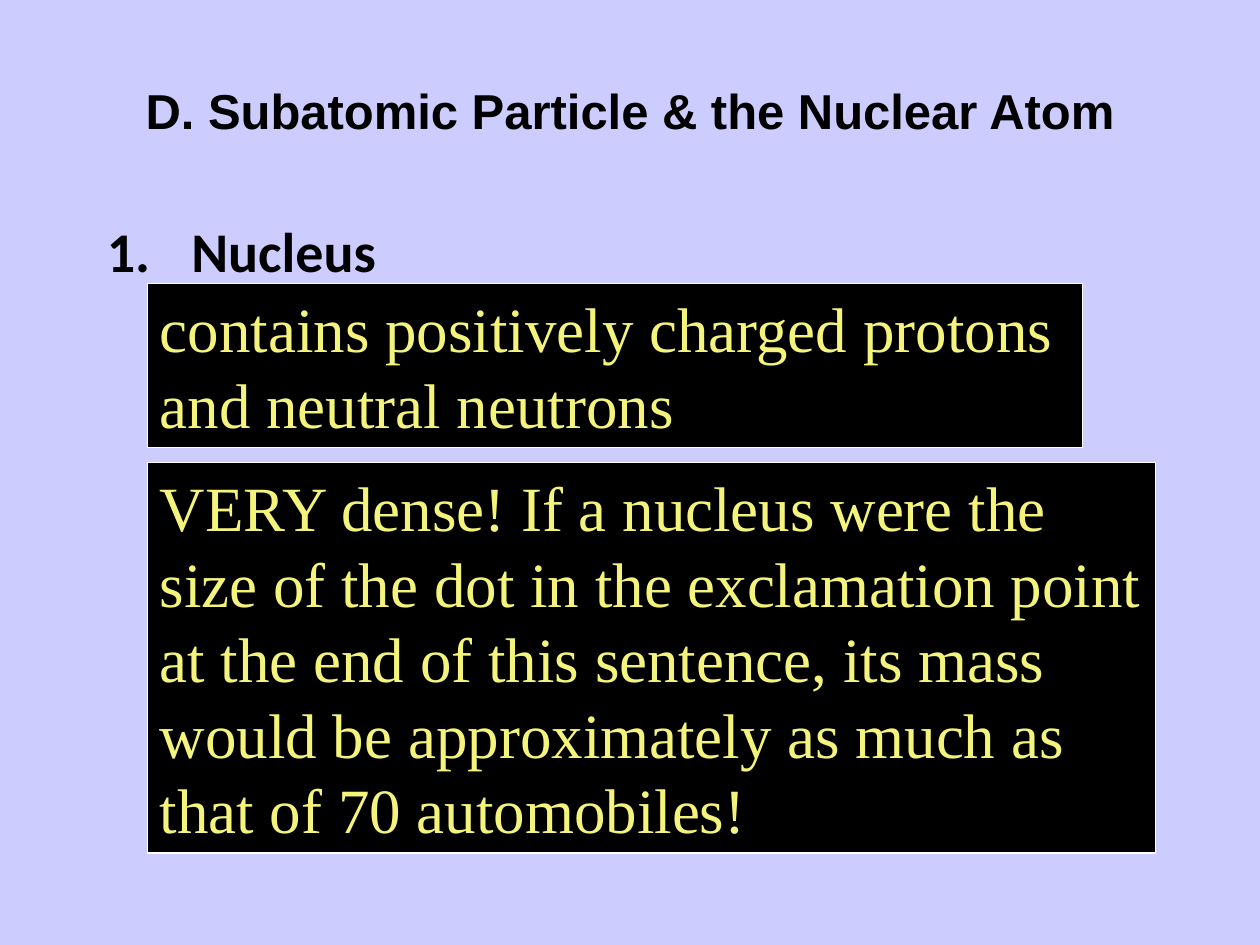
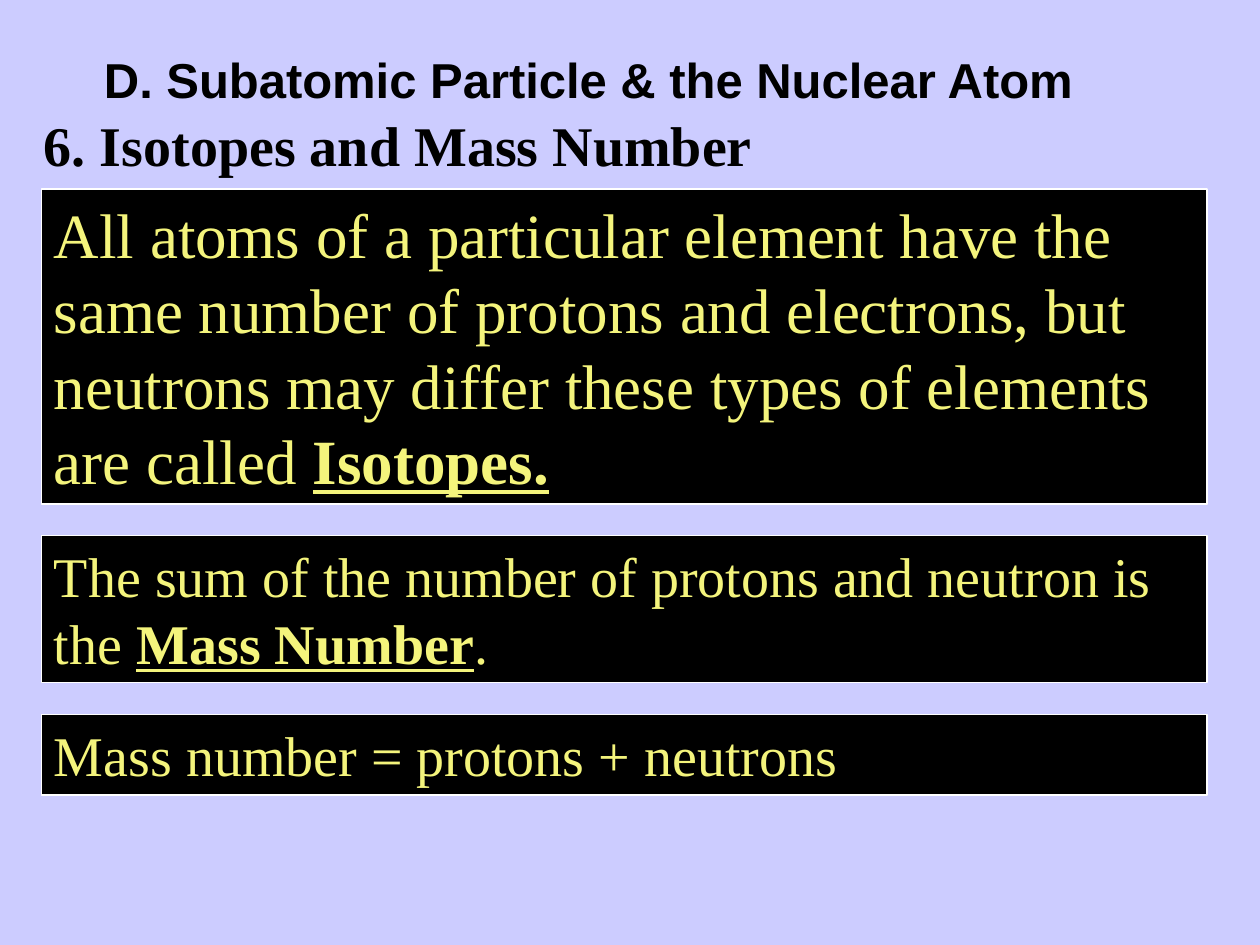
"""Build two slides on the nucleus, isotopes and mass number."""
from lxml import etree
from pptx import Presentation
from pptx.dml.color import RGBColor
from pptx.enum.shapes import MSO_SHAPE
from pptx.enum.text import MSO_ANCHOR, MSO_AUTO_SIZE, PP_ALIGN
from pptx.oxml.ns import qn
from pptx.util import Inches, Pt

RECTANGLE = MSO_SHAPE.RECTANGLE
TOP, MIDDLE = MSO_ANCHOR.TOP, MSO_ANCHOR.MIDDLE
FIT_SHAPE, NO_FIT = MSO_AUTO_SIZE.SHAPE_TO_FIT_TEXT, MSO_AUTO_SIZE.NONE
LEFT, CENTER = PP_ALIGN.LEFT, PP_ALIGN.CENTER

LAVENDER = RGBColor(0xCC, 0xCC, 0xFF)
BLACK = RGBColor(0, 0, 0)
WHITE = RGBColor(0xFF, 0xFF, 0xFF)
YELLOW = RGBColor(0xF4, 0xF4, 0x7C)

TITLE = "D. Subatomic Particle & the Nuclear Atom"
TITLE_FONT, LIST_FONT, BODY_FONT = "Arial", "Calibri", "Times New Roman"
NUMBER_INDENT = Inches(0.67)

# Note spans are (text, is_key_term); places are left, top, width, height.
SLIDES = [
    {
        "title_at": (0.75, 0.25),
        "heading": {"text": "Nucleus", "font": LIST_FONT, "numbered": True,
                    "place": (0.75, 1.67, 3.17, 0.75)},
        "notes": [
            ((1.17, 2.25, 7.42, 1.3), 36,
             [("contains positively charged protons and neutral neutrons", False)]),
            ((1.17, 3.67, 8, 3.1), 36,
             [("VERY dense! If a nucleus were the size of the dot in the "
               "exclamation point at the end of this sentence, its mass would be "
               "approximately as much as that of 70 automobiles!", False)]),
        ],
    },
    {
        "title_at": (0.42, 0),
        "heading": {"text": "6. Isotopes and Mass Number", "font": BODY_FONT,
                    "numbered": False, "place": (0.25, 0.83, 8.25, 0.64)},
        "notes": [
            ((0.33, 1.5, 9.25, 2.5), 36,
             [("All atoms of a particular element have the same number of protons "
               "and electrons, but neutrons may differ these types of elements are "
               "called ", False), ("Isotopes.", True)]),
            ((0.33, 4.25, 9.25, 1.17), 32,
             [("The sum of the number of protons and neutron is the ", False),
              ("Mass Number", True), (".", False)]),
            ((0.33, 5.67, 9.25, 0.64), 32,
             [("Mass number = protons + neutrons", False)]),
        ],
    },
]


def add_span(para, text, font, size, color, bold=False, underline=False):
    span = para.add_run()
    span.text = text
    span.font.name = font
    span.font.size = Pt(size)
    span.font.color.rgb = color
    span.font.bold = bold
    span.font.underline = underline


def prepare_frame(box, anchor=TOP, align=LEFT, auto_size=FIT_SHAPE):
    frame = box.text_frame
    frame.word_wrap = True
    frame.auto_size = auto_size
    frame.vertical_anchor = anchor
    para = frame.paragraphs[0]
    para.alignment = align
    return para


def number_paragraph(para):
    properties = para._p.get_or_add_pPr()
    properties.set("marL", str(NUMBER_INDENT))
    properties.set("indent", str(-NUMBER_INDENT))
    etree.SubElement(properties, qn("a:buFont"), typeface="+mj-lt")
    etree.SubElement(properties, qn("a:buAutoNum"), type="arabicPeriod")


def set_title(page, left, top):
    title = page.shapes.title
    title.left, title.top = Inches(left), Inches(top)
    title.width, title.height = Inches(8.5), Inches(1.25)
    para = prepare_frame(title, MIDDLE, CENTER, NO_FIT)
    add_span(para, TITLE, TITLE_FONT, 28, BLACK, bold=True)


def add_heading(page, text, font, numbered, place):
    box = page.shapes.add_textbox(*map(Inches, place))
    para = prepare_frame(box, auto_size=NO_FIT)
    if numbered:
        number_paragraph(para)
    add_span(para, text, font, 32, BLACK, bold=True)


def add_note(page, place, size, spans):
    box = page.shapes.add_shape(RECTANGLE, *map(Inches, place))
    box.shadow.inherit = False
    box.fill.solid()
    box.fill.fore_color.rgb = BLACK
    box.line.color.rgb = WHITE
    box.line.width = Pt(0.75)
    para = prepare_frame(box)
    for text, is_key_term in spans:
        add_span(para, text, BODY_FONT, size, YELLOW, is_key_term, is_key_term)


def main():
    deck = Presentation()
    deck.slide_width, deck.slide_height = Inches(10), Inches(7.5)
    background = deck.slide_master.background.fill
    background.solid()
    background.fore_color.rgb = LAVENDER
    title_only = deck.slide_layouts.get_by_name("Title Only")
    for content in SLIDES:
        page = deck.slides.add_slide(title_only)
        set_title(page, *content["title_at"])
        add_heading(page, **content["heading"])
        for note in content["notes"]:
            add_note(page, *note)
    deck.save("out.pptx")


if __name__ == "__main__":
    main()
